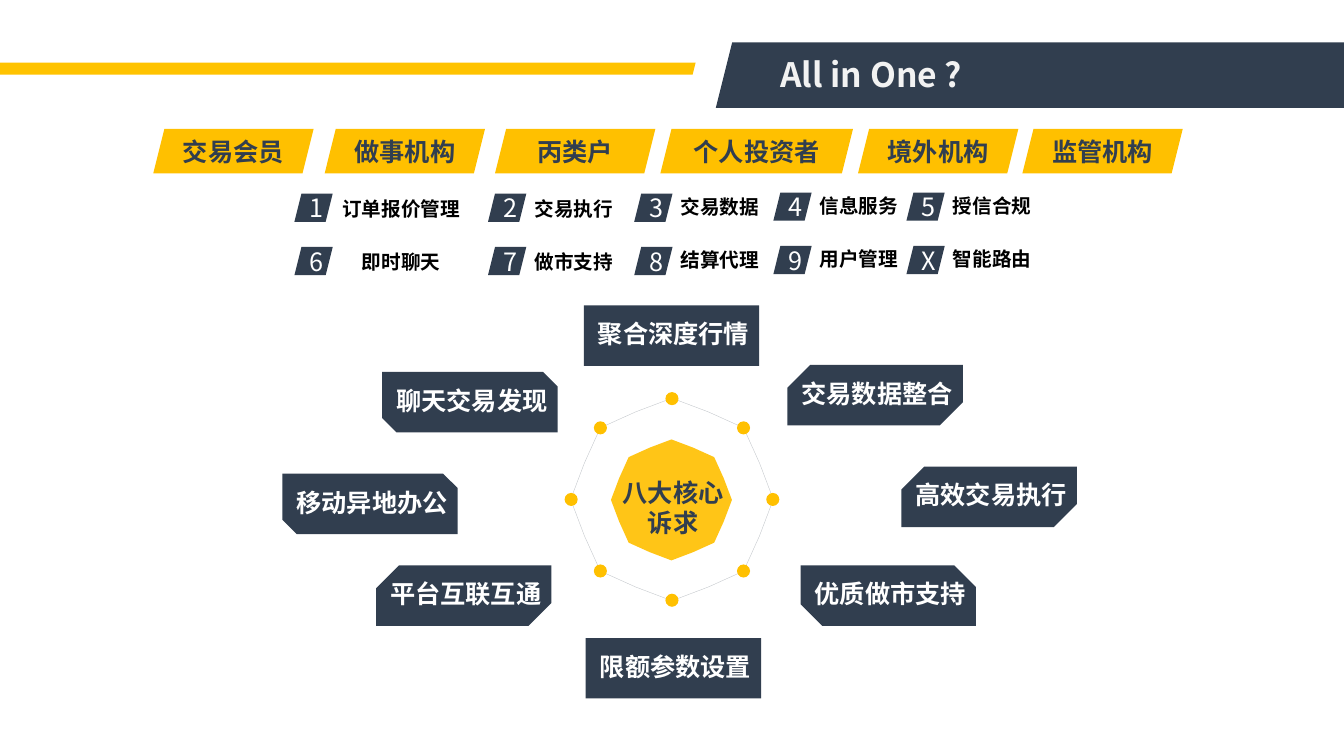
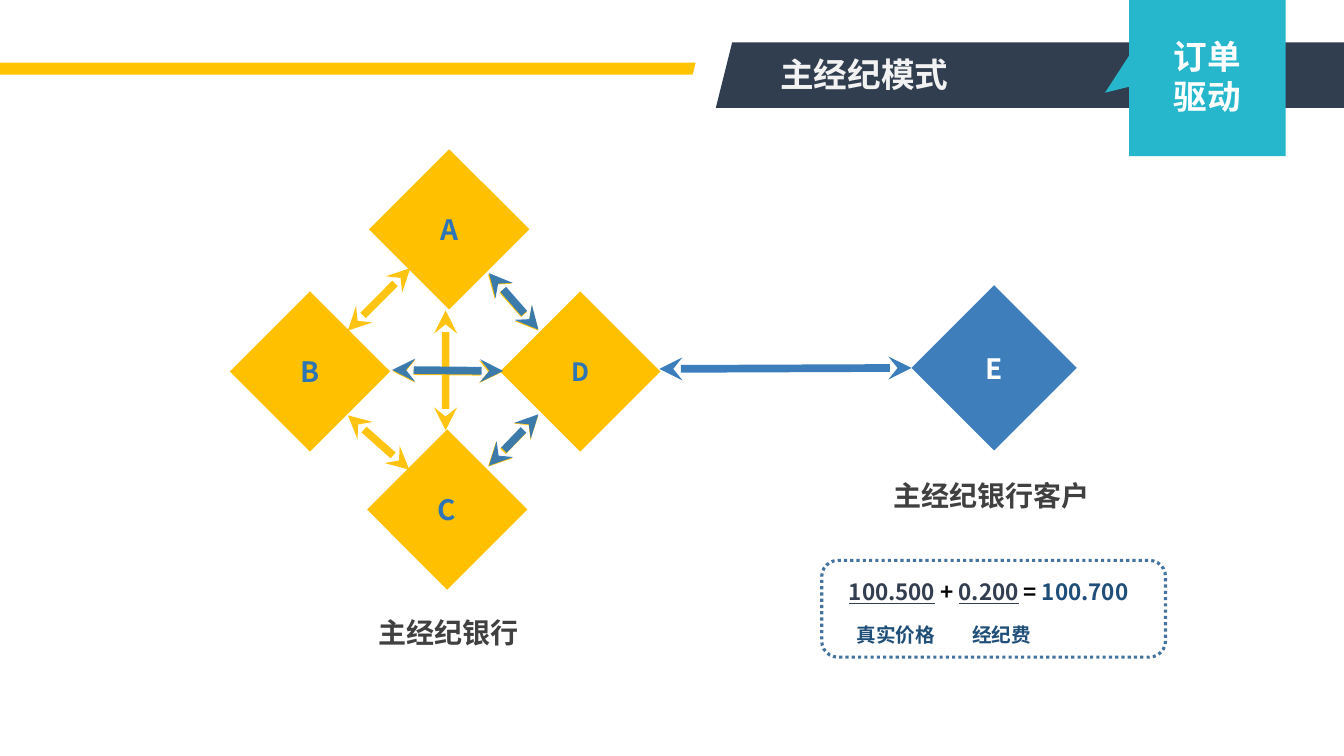
from dataclasses import dataclass
from math import cos, pi, sin

from lxml.etree import SubElement
from pptx import Presentation
from pptx.dml.color import RGBColor
from pptx.enum.dml import MSO_LINE as Dash
from pptx.enum.shapes import MSO_CONNECTOR as Link, MSO_SHAPE as Kind
from pptx.enum.text import MSO_ANCHOR as Anchor, MSO_AUTO_SIZE as Fit, PP_ALIGN as Align
from pptx.oxml.ns import qn
from pptx.util import Pt

PX = 9144  # EMU in one px, 100 px to the inch
SANS = "Noto Sans CJK SC"
SERIF = "Times New Roman"
HUES = {
    "navy": "313E4F", "gold": "FFC000", "stripe": "FFC300", "pale": "F2F2F2",
    "white": "FFFFFF", "black": "000000", "blue": "2E75B6", "teal": "26B7CC",
    "grey": "404040", "slate": "333F50", "deep": "1F4E79", "rim": "43739E",
}
Box = tuple[int, int, int, int]


@dataclass
class Style:
    size: int
    hue: str
    bold: bool = True
    face: str = SANS
    align: Align = Align.CENTER
    pad: tuple[int, int] = (0, 0)  # left, bottom


@dataclass
class Need:
    text: str
    left: int
    top: int
    snip: tuple[float, float]


@dataclass
class Column:
    left: int
    top: int
    gap: int
    lift: int
    names: tuple[str, str]
    marks: str


@dataclass
class Bank:
    text: str
    left: int
    top: int
    size: int = 20


@dataclass
class Arrow:
    start: tuple[int, int]
    end: tuple[int, int]


TITLE = Style(24, "pale", align=Align.LEFT, pad=(10, 0))
CLIENTS = [
    ("交易会员", 152, 159), ("做事机构", 322, 159), ("丙类户", 491, 159),
    ("个人投资者", 655, 191), ("境外机构", 851, 159), ("监管机构", 1014, 159),
]
COLUMNS = [
    Column(292, 192, 34, 2, ("订单报价管理", "即时聊天"), "16"),
    Column(484, 192, 13, 2, ("交易执行", "做市支持"), "27"),
    Column(629, 192, 13, 4, ("交易数据", "结算代理"), "38"),
    Column(767, 191, 13, 4, ("信息服务", "用户管理"), "49"),
    Column(899, 191, 13, 4, ("授信合规", "智能路由"), "5X"),
]
NEEDS = [
    Need("聊天交易发现", 379, 369, (0, 0.24)),
    Need("移动异地办公", 280, 470, (0, 0.24)),
    Need("平台互联互通", 373, 561, (0.38, 0)),
    Need("限额参数设置", 581, 633, (0, 0)),
    Need("聚合深度行情", 579, 303, (0, 0)),
    Need("交易数据整合", 781, 362, (0.38, 0)),
    Need("高效交易执行", 894, 463, (0.38, 0)),
    Need("优质做市支持", 794, 561, (0, 0.36)),
]
BANKS = [Bank("B", 228, 289), Bank("A", 366, 148), Bank("C", 364, 426), Bank("D", 496, 289, 18)]
GOLD_ARROWS = [
    Arrow((407, 266), (345, 328)), Arrow((345, 412), (406, 466)),
    Arrow((484, 463), (534, 412)), Arrow((484, 272), (534, 328)),
    Arrow((389, 368), (498, 369)), Arrow((442, 308), (442, 427)),
]
BLUE_ARROWS = [
    Arrow((485, 462), (534, 411)), Arrow((485, 271), (534, 327)),
    Arrow((389, 367), (499, 368)), Arrow((654, 366), (904, 365)),
]
PRICE = [
    ("100.500", "slate", True), (" + ", "black", False), ("0.200", "slate", True),
    (" = ", "black", False), ("100.700", "deep", False),
]


def emu(box: Box) -> list[int]:
    return [n * PX for n in box]


def tint(fill, hue: str, alpha: int = 100) -> None:
    fill.solid()
    fill.fore_color.rgb = RGBColor.from_string(HUES[hue])
    if alpha < 100:
        node = fill._xPr.find(".//" + qn("a:srgbClr"))
        SubElement(node, qn("a:alpha")).set("val", str(alpha * 1000))


def dress(run, style: Style) -> None:
    font = run.font
    font.size, font.bold, font.name = Pt(style.size), style.bold, style.face
    font.color.rgb = RGBColor.from_string(HUES[style.hue])
    SubElement(run._r.get_or_add_rPr(), qn("a:ea")).set("typeface", SANS)


def frame(shape, pad: tuple[int, int]):
    """Strip the margins and centre the text vertically."""
    body = shape.text_frame
    body.auto_size, body.word_wrap = Fit.NONE, False
    body.vertical_anchor = Anchor.MIDDLE
    body.margin_left, body.margin_bottom = pad[0] * PX, pad[1] * PX
    body.margin_right = body.margin_top = 0
    return body


def write(shape, text: str, style: Style) -> None:
    body = frame(shape, style.pad)
    body.text = text
    for para in body.paragraphs:
        para.alignment = style.align
        for run in para.runs:
            dress(run, style)


def label(slide, box: Box, text: str, style: Style) -> None:
    write(slide.shapes.add_textbox(*emu(box)), text, style)


def draw(slide, kind: Kind, box: Box, hue: str = "", alpha: int = 100, adj=()):
    """Add a preset shape without outline; no hue means no fill."""
    shape = slide.shapes.add_shape(kind, *emu(box))
    shape.shadow.inherit = False
    for i, n in enumerate(adj):
        shape.adjustments[i] = n
    if hue:
        tint(shape.fill, hue, alpha)
    else:
        shape.fill.background()
    shape.line.fill.background()
    return shape


def rule(slide, arrow: Arrow, hue: str) -> None:
    """Add a line with an arrowhead at both ends."""
    ends = [n * PX for n in (*arrow.start, *arrow.end)]
    wire = slide.shapes.add_connector(Link.STRAIGHT, *ends)
    wire.line.width = Pt(5.5)
    tint(wire.line.fill, hue, 93)
    props = wire._element.spPr
    for tag in ("a:headEnd", "a:tailEnd"):
        SubElement(props.find(qn("a:ln")), qn(tag)).set("type", "stealth")
    SubElement(props, qn("a:effectLst"))


def brand(deck, slide) -> None:
    """Move the title bands to the layout that all slides share."""
    tree = deck.slide_layouts[5].shapes._spTree
    for box, hue in (((710, 42, 650, 65), "navy"), ((-16, 62, 706, 12), "stripe")):
        tree.append(draw(slide, Kind.PARALLELOGRAM, box, hue)._element)


def start(deck, text: str):
    slide = deck.slides.add_slide(deck.slide_layouts[5])
    title = slide.shapes.title
    title.left, title.top, title.width, title.height = emu((764, 48, 534, 50))
    write(title, text, TITLE)
    return slide


def needs(deck) -> None:
    slide = start(deck, "All in One ?")
    brand(deck, slide)
    draw(slide, Kind.STAR_8_POINT, (606, 436, 120, 120), "gold", 91, [0.468])
    for text, left, width in CLIENTS:
        tile = draw(slide, Kind.PARALLELOGRAM, (left, 128, width, 44), "gold")
        write(tile, text, Style(18, "navy"))

    for col in COLUMNS:
        for row, (name, mark) in enumerate(zip(col.names, col.marks)):
            top = col.top + row * 53
            label(slide, (col.left + col.gap, top - col.lift, 144, 34), name,
                  Style(14, "black", face=SERIF))
            tile = draw(slide, Kind.PARALLELOGRAM, (col.left, top, 38, 28), "navy")
            write(tile, mark, Style(18, "white", bold=False, pad=(6, 0)))

    ring = draw(slide, Kind.STAR_8_POINT, (566, 395, 201, 201), adj=[0.468])
    ring.line.width = Pt(0.25)
    tint(ring.line.fill, "navy", 29)
    for i in range(8):
        turn = i * pi / 4
        left, top = round(660 + 100 * cos(turn)), round(489 + 100 * sin(turn))
        draw(slide, Kind.OVAL, (left, top, 13, 13), "gold")

    for need in NEEDS:
        tile = draw(slide, Kind.SNIP_2_DIAG_RECTANGLE, (need.left, need.top, 174, 60),
                    "navy", adj=need.snip)
        write(tile, need.text, Style(18, "white", pad=(4, 4)))
    label(slide, (607, 468, 121, 71), "八大核心\n诉求", Style(18, "navy"))


def callout(slide) -> None:
    pen = slide.shapes.build_freeform(1120, 0, PX)
    pen.add_line_segments(
        [(1275, 0), (1275, 155), (1120, 155), (1120, 86), (1096, 92), (1120, 55)])
    shape = pen.convert_to_shape()
    shape.shadow.inherit = False
    tint(shape.fill, "teal")
    shape.line.fill.background()
    write(shape, "订单\n驱动", Style(24, "white", pad=(24, 4)))


def price(slide) -> None:
    box = slide.shapes.add_textbox(*emu((833, 568, 295, 37)))
    para = frame(box, (0, 0)).paragraphs[0]
    para.alignment = Align.CENTER
    for text, hue, under in PRICE:
        run = para.add_run()
        run.text = text
        dress(run, Style(16, hue))
        run.font.underline = under
    for text, left, width in (("真实价格", 839, 99), ("经纪费", 954, 79)):
        label(slide, (left, 613, width, 34), text, Style(14, "deep"))
    edge = draw(slide, Kind.ROUNDED_RECTANGLE, (815, 556, 341, 96)).line
    tint(edge.fill, "rim")
    edge.width, edge.dash_style = Pt(2.25), Dash.ROUND_DOT


def broker(deck) -> None:
    slide = start(deck, "主经纪模式")
    for arrow in GOLD_ARROWS:
        rule(slide, arrow, "gold")
    callout(slide)
    for bank in BANKS:
        tile = draw(slide, Kind.DIAMOND, (bank.left, bank.top, 159, 159), "gold")
        write(tile, bank.text, Style(bank.size, "blue"))
    tile = draw(slide, Kind.DIAMOND, (904, 283, 164, 164), "blue", 92)
    write(tile, "E", Style(20, "white"))
    for arrow in BLUE_ARROWS:
        rule(slide, arrow, "blue")
    for text, left, top, width in (("主经纪银行", 365, 605, 160), ("主经纪银行客户", 875, 469, 217)):
        label(slide, (left, top, width, 44), text, Style(20, "grey"))
    price(slide)


def main() -> None:
    deck = Presentation()
    deck.slide_width, deck.slide_height = 1333 * PX, 750 * PX
    needs(deck)
    broker(deck)
    deck.save("out.pptx")


if __name__ == "__main__":
    main()
